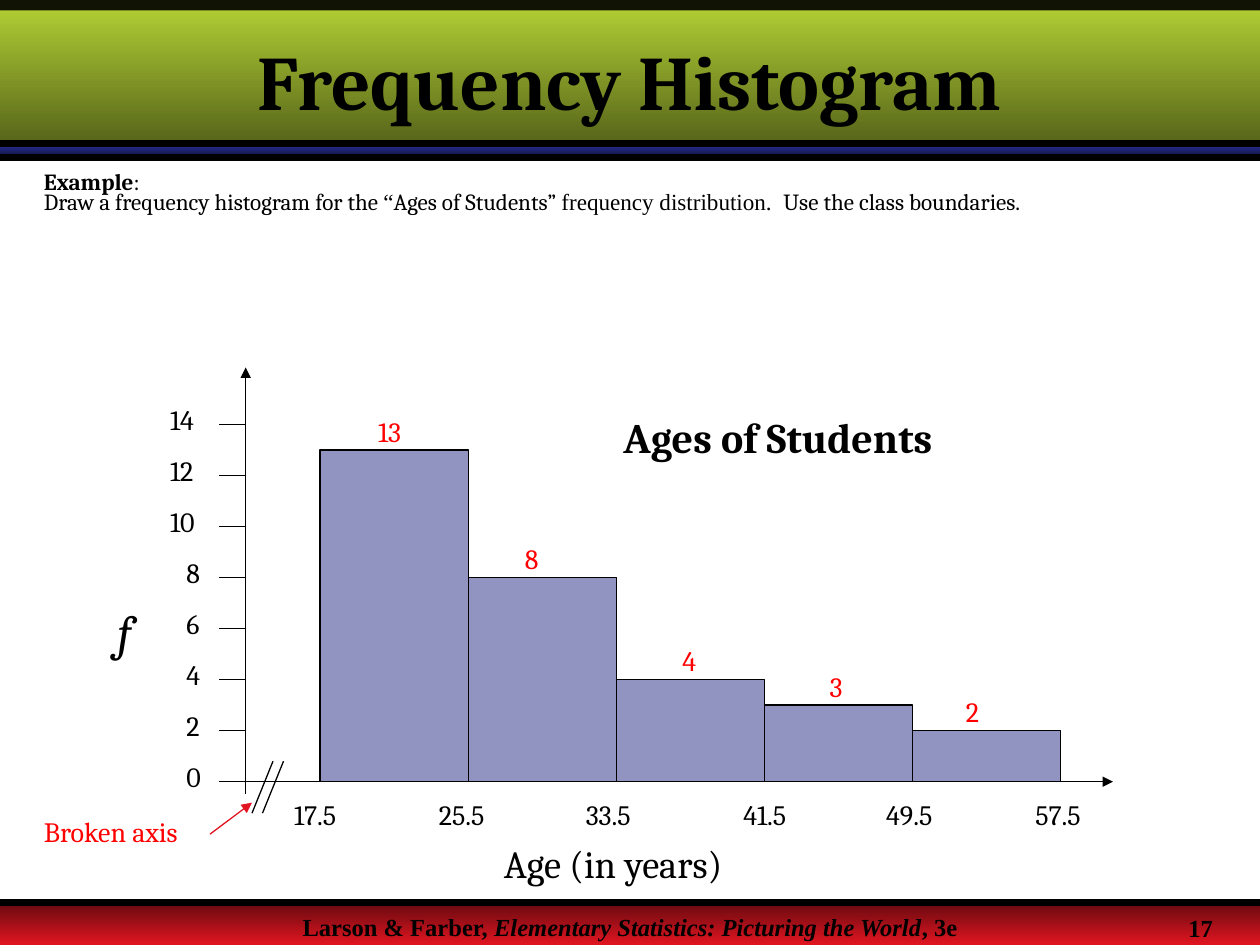
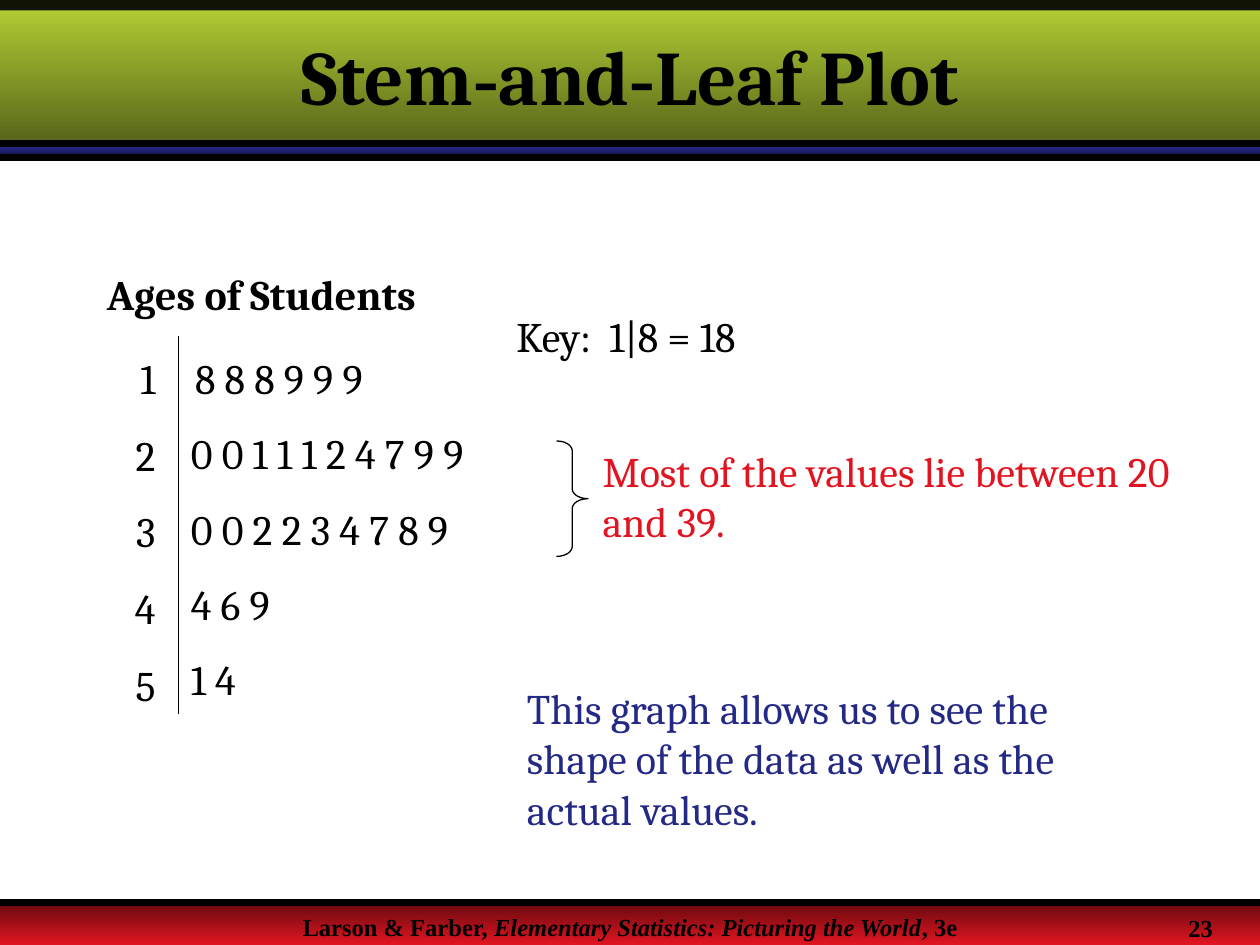
from lxml import etree
from pptx import Presentation
from pptx import util as u
from pptx.dml.color import RGBColor
from pptx.enum import shapes, text
from pptx.oxml.ns import qn

HUES = {
    "black": "000000", "white": "FFFFFF", "red": "FF0000", "brick": "E11521",
    "wine": "680A0F", "navy": "242985", "night": "11133E",
    "lime": "B5D335", "moss": "546219",
}
RGB = {name: RGBColor.from_string(code) for name, code in HUES.items()}
RECT = shapes.MSO_SHAPE.RECTANGLE
MID, RIGHT = text.PP_ALIGN.CENTER, text.PP_ALIGN.RIGHT

deck = Presentation()
deck.slide_width, deck.slide_height = u.Inches(10), u.Inches(7.5)
COLS, ROWS = 120, 90
CELL = deck.slide_width / COLS  # square cells: 120 columns by 90 rows


def write(slide, at, paras, size=16, hue="black", align=None, pad=True,
          gap=0, lead=None, box=None):
    """Place text; run marks: b bold, i italic, t Times New Roman."""
    box = box or slide.shapes.add_textbox(0, 0, 0, 0)
    box.left, box.top, box.width, box.height = [round(n * CELL) for n in at]
    frame = box.text_frame
    frame.word_wrap = True
    frame.auto_size = text.MSO_AUTO_SIZE.NONE
    if not pad:
        frame.margin_left = frame.margin_right = 0
        frame.margin_top = frame.margin_bottom = 0
    for i, runs in enumerate(paras):
        para = frame.add_paragraph() if i else frame.paragraphs[0]
        para.alignment, para.line_spacing = align, lead
        if i and gap:
            para.space_before = u.Pt(gap)
        for words, marks in runs:
            run = para.add_run()
            run.text = words
            font = run.font
            font.name = "Times New Roman" if "t" in marks else "Cambria"
            font.size, font.color.rgb = u.Pt(size), RGB[hue]
            font.bold, font.italic = "b" in marks, "i" in marks


def draw(slide, x1, y1, x2, y2, wide=0.88, hue="black", arrow=False):
    ends = [round(n * CELL) for n in (x1, y1, x2, y2)]
    line = slide.shapes.add_connector(shapes.MSO_CONNECTOR.STRAIGHT, *ends)
    line.line.color.rgb, line.line.width = RGB[hue], u.Pt(wide)
    props = line._element.spPr
    if arrow:
        etree.SubElement(props.find(qn("a:ln")), qn("a:tailEnd"), type="triangle")
    etree.SubElement(props, qn("a:effectLst"))


# Shared bands and footer, moved to the layout once drawn
plain = deck.slide_layouts[5]
hist = deck.slides.add_slide(plain)
glass = []  # see-through shapes: shape, hue, opacity in percent
bands = [
    (86, 4, "wine", "brick"),
    (14, 1, "navy", "night"),
    (0, 14, "lime", "moss"),
    (0, 1, None, None),
]
for top, tall, start, stop in bands:
    band = hist.shapes.add_shape(
        RECT, 0, round(top * CELL), deck.slide_width, round(tall * CELL))
    band.shadow.inherit = False
    band.line.fill.background()
    if start is None:
        glass.append((band, "black", 90))
        continue
    band.fill.gradient()
    band.fill.gradient_angle = 270
    for point, hue in zip(band.fill.gradient_stops, (start, stop)):
        point.color.rgb = RGB[hue]
for row in (13.65, 15, 86):
    draw(hist, 0, row, COLS, row, wide=4)
write(hist, (0, 86.3, COLS, 2.4), [[
    ("Larson & Farber, ", "bt"),
    ("Elementary Statistics: Picturing the World", "bti"),
    (", 3e", "bt")]], size=14, align=MID)
for shape in list(hist.shapes):
    if not shape.is_placeholder:
        plain.shapes._spTree.append(shape._element)

# Titles and page numbers
stem = deck.slides.add_slide(plain)
heads = [
    (hist, 13.1, "17", [("Frequency Histogram", "b")]),
    (stem, 12.3, "23", [("Stem", "b"), ("-", "bt"), ("and", "b"),
                        ("-", "bt"), ("Leaf Plot", "b")]),
]
for slide, tall, page, runs in heads:
    title = slide.shapes.title
    write(slide, (0, 1, COLS, tall), [runs], size=44, align=MID, box=title)
    title.text_frame.vertical_anchor = text.MSO_ANCHOR.MIDDLE
    write(slide, (112, 86.4, 7, 3.6), [[(page, "bt")]], size=14)

# Histogram: task
write(hist, (3, 16.1, 114, 6), [
    [("Example", "b"), (":", "")],
    [("Draw a frequency histogram for the ", ""), ("“", "t"),
     ("Ages of Students” ", ""), ("frequency distribution.  ", "t"),
     ("Use the class boundaries.", "")]], size=13.2, lead=0.7)

# Histogram: bars with their counts
BASE, UNIT, LEFT, STEP = 74.45, 2.43, 30.5, 14.1
counts = [(13, 36), (8, 50), (4, 65), (3, 79), (2, 92)]
for i, (count, x) in enumerate(counts):
    tall = count * UNIT
    spot = (LEFT + i * STEP, BASE - tall, STEP, tall)
    bar = hist.shapes.add_shape(RECT, *[round(n * CELL) for n in spot])
    bar.shadow.inherit = False
    bar.line.color.rgb, bar.line.width = RGB["black"], u.Pt(0.88)
    glass.append((bar, "navy", 50))
    write(hist, (x, BASE - tall - 3.4, 3, 3.2), [[(str(count), "")]],
          hue="red", pad=False)

# Histogram: axes, ticks and class boundaries
AXIS = 23.4
draw(hist, AXIS, 75.6, AXIS, 35, arrow=True)
draw(hist, 22.5, BASE, 106, BASE, arrow=True)
for mark in range(0, 15, 2):
    y = BASE - mark * UNIT
    draw(hist, 20.9, y, AXIS, y)
    write(hist, (16.2 if mark > 9 else 17.75, y - 2.1, 3, 3.2),
          [[(str(mark), "")]], pad=False)
for i, x in enumerate((28, 41.8, 55.8, 70.8, 84.4, 98.6)):
    write(hist, (x, 76, 5.2, 3.2), [[(str(17.5 + 8 * i), "")]], pad=False)
for x in (24, 25):
    draw(hist, x, 77.45, x + 2, 72.5, wide=0.75)

# Histogram: names
write(hist, (58.2, 38.6, 41.8, 6), [[("Ages of Students", "b")]], size=24)
write(hist, (46.8, 79.4, 25.8, 5.6), [[("Age (in years)", "")]], size=22)
write(hist, (10, 56.7, 6, 6.8), [[("f", "i")]], size=28)
write(hist, (3, 77, 20, 4.4), [[("Broken axis", "")]], hue="red")
draw(hist, 20, 79.45, 24, 76.45, wide=0.75, hue="brick", arrow=True)

# Stem-and-leaf plot
leaves = ["8 8 8 9 9 9", "0 0 1 1 1 2 4 7 9 9", "0 0 2 2 3 4 7 8 9",
          "4 6 9", "1 4"]
write(stem, (9, 25, 41, 6), [[("Ages of Students", "b")]], size=24)
write(stem, (10, 33, 6, 35.3),
      [[(str(i + 1), "")] for i in range(len(leaves))],
      size=24, align=RIGHT, gap=15)
draw(stem, 17, 32, 17, 68, wide=0.75)
for i, leaf in enumerate(leaves):
    write(stem, (17 if i else 17.4, 33 + 7.17 * i, 47, 6),
          [[(leaf, "")]], size=24)

# Key and remarks
notes = [
    ((48, 29, 30, 6), "Key:  1|8 = 18", "black"),
    ((49, 64.4, 57, 15.6), "This graph allows us to see the shape of the data "
     "as well as the actual values.", "navy"),
    ((56.2, 41.8, 57, 10.8), "Most of the values lie between 20 and 39.",
     "brick"),
]
for at, words, hue in notes:
    write(stem, at, [[(words, "")]], size=24, hue=hue)
brace = stem.shapes.add_shape(
    shapes.MSO_SHAPE.RIGHT_BRACE, *[round(n * CELL) for n in (53, 42, 3, 11)])
brace.shadow.inherit = False
brace.adjustments[0] = 0.31
brace.fill.background()
brace.line.color.rgb, brace.line.width = RGB["black"], u.Pt(0.75)

# See-through fills
for shape, hue, share in glass:
    shape.fill.solid()
    shape.fill.fore_color.rgb = RGB[hue]
    tone = shape._element.spPr.find(qn("a:solidFill"))[0]
    etree.SubElement(tone, qn("a:alpha"), val=str(share * 1000))

deck.save("out.pptx")
